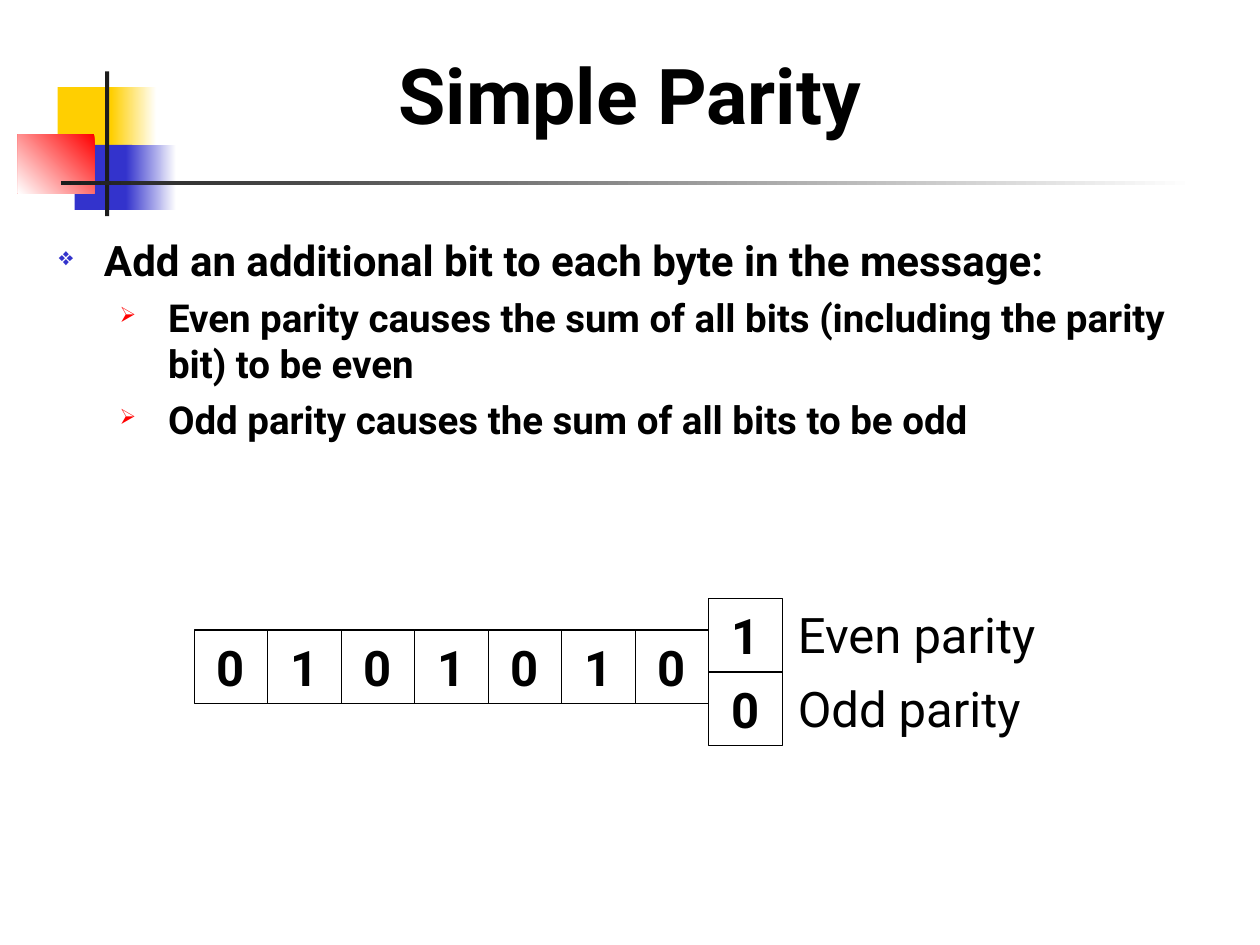
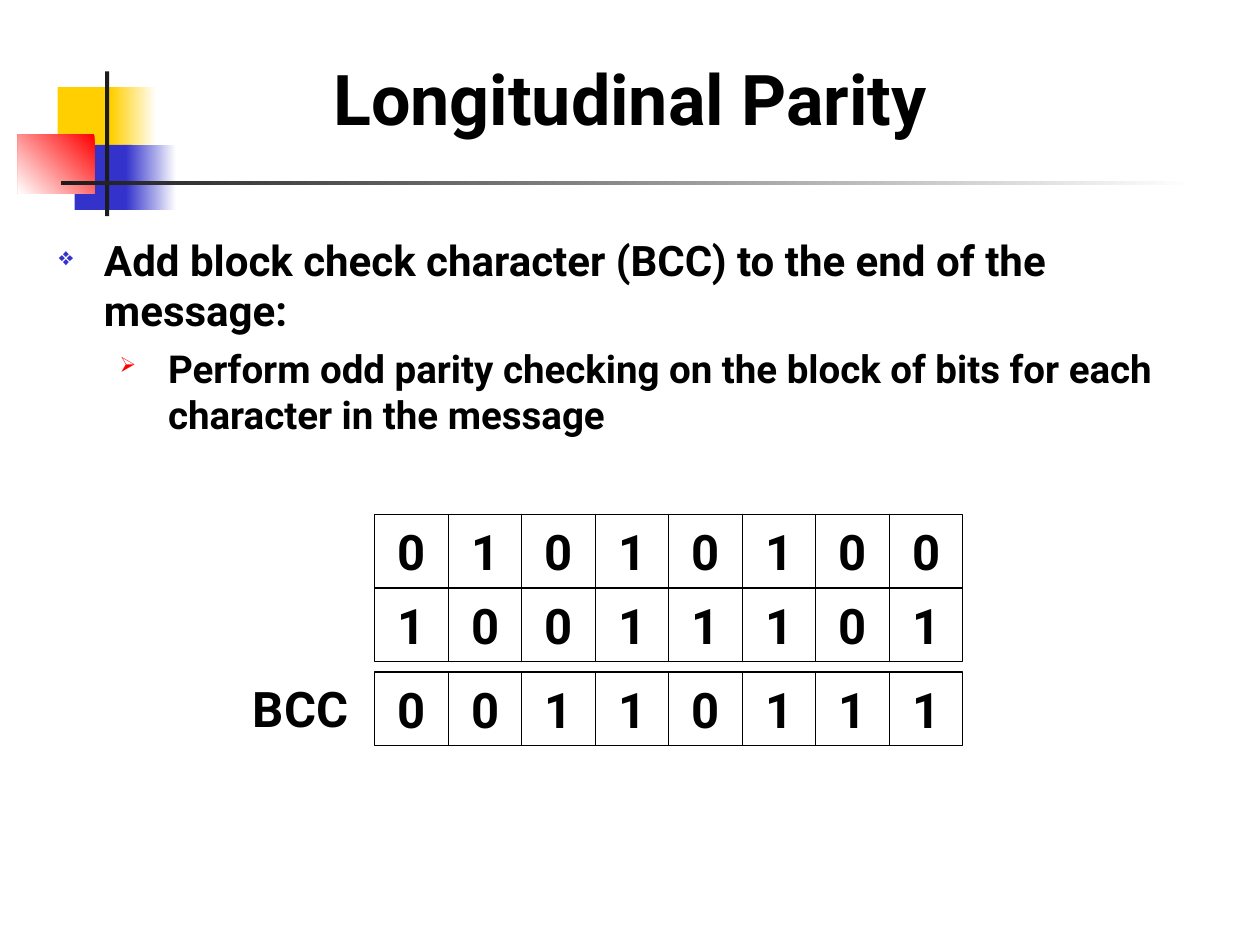
from lxml.etree import SubElement
from pptx import Presentation
from pptx.dml.color import RGBColor
from pptx.enum.shapes import MSO_SHAPE
from pptx.enum.text import MSO_ANCHOR, PP_ALIGN
from pptx.oxml.ns import qn
from pptx.util import Emu, Pt

PX = 7620  # EMU in one px, 120 px to the inch
FONT = "Roboto"
BLACK, WHITE, DARK = "000000", "FFFFFF", "1C1C1C"
YELLOW, BLUE, RED = "FFCF01", "3333CC", "FF0000"
CELL = 70

# Per level: size, left margin, hanging indent, space before, mark, colour, mark size %
LEVELS = [
    (24, 59, 43, 6, "❖", BLUE, 60),
    (22, 120, 46, 5.5, "➢", RED, 55),
]


def px(*values):
    return [Emu(value * PX) for value in values]


def color(code):
    return RGBColor.from_string(code)


def style(para, size, bold=True):
    for run in para.runs:
        font = run.font
        font.name, font.size, font.bold = FONT, Pt(size), bold
        font.color.rgb = color(BLACK)


def add_rect(slide, box):
    rect = slide.shapes.add_shape(MSO_SHAPE.RECTANGLE, *px(*box))
    rect.shadow.inherit = False
    return rect


def add_block(slide, box, start, end=None, angle=0):
    """Draw a borderless rectangle, solid or fading from start to end."""
    block = add_rect(slide, box)
    block.line.fill.background()
    if end is None:
        block.fill.solid()
        block.fill.fore_color.rgb = color(start)
        return
    block.fill.gradient()
    block.fill.gradient_angle = angle
    for stop, code in zip(block.fill.gradient_stops, (start, end)):
        stop.color.rgb = color(code)


def add_frame(slide, box, inset=(0, 0)):
    frame = slide.shapes.add_textbox(*px(*box)).text_frame
    frame.word_wrap = True
    frame.margin_left = frame.margin_right = Emu(inset[0] * PX)
    frame.margin_top = frame.margin_bottom = Emu(inset[1] * PX)
    return frame


def add_motif(slide, left, top):
    """Draw the coloured squares and the crossing rules beside the title."""
    parts = [
        ((38, 15, 58, 62), YELLOW),
        ((89, 15, 43, 62), YELLOW, WHITE),
        ((54, 70, 55, 62), BLUE),
        ((103, 70, 48, 62), BLUE, WHITE),
        ((0, 60, 73, 56), RED, WHITE, 225),
        ((83, 0, 4, 138), DARK),
        ((41, 104, 1080, 4), DARK, WHITE),
    ]
    for (x, y, width, height), *fill in parts:
        add_block(slide, (left + x, top + y, width, height), *fill)


def add_title(slide, box, text, size):
    frame = add_frame(slide, box)
    frame.vertical_anchor = MSO_ANCHOR.BOTTOM
    frame.text = text
    para = frame.paragraphs[0]
    para.alignment = PP_ALIGN.CENTER
    style(para, size)


def add_bullet(para, left, hang, mark, code, percent):
    props = para._p.get_or_add_pPr()
    props.set("marL", str(left * PX))
    props.set("indent", str(-hang * PX))
    tint = SubElement(props, qn("a:buClr"))
    SubElement(tint, qn("a:srgbClr"), val=code)
    SubElement(props, qn("a:buSzPct"), val=str(percent * 1000))
    SubElement(props, qn("a:buChar"), char=mark)


def add_body(slide, box, items):
    frame = add_frame(slide, box)
    frame.text = "\n".join(text for _, text in items)
    for para, (level, _) in zip(frame.paragraphs, items):
        size, left, hang, before, *mark = LEVELS[level]
        para.level = level
        para.space_before = Pt(before)
        add_bullet(para, left, hang, *mark)
        style(para, size)


def add_bits(slide, left, top, bits):
    """Draw a row of square cells, one for each bit."""
    for col, bit in enumerate(bits):
        cell = add_rect(slide, (left + col * CELL, top, CELL, CELL))
        cell.fill.background()
        cell.line.color.rgb = color(BLACK)
        cell.line.width = Pt(0.75)
        frame = cell.text_frame
        frame.word_wrap = False
        frame.vertical_anchor = MSO_ANCHOR.MIDDLE
        frame.text = bit
        para = frame.paragraphs[0]
        para.alignment = PP_ALIGN.CENTER
        style(para, 28)


def add_label(slide, box, text, bold=False):
    frame = add_frame(slide, box, (12, 6))
    frame.text = text
    style(frame.paragraphs[0], 28, bold)


def add_page(deck, title, size, items):
    slide = deck.slides.add_slide(deck.slide_layouts[6])
    add_motif(slide, 17, 68)
    add_title(slide, (51, 44, 1098, 89), title, size)
    add_body(slide, (40, 223, 1120, 198), items)
    return slide


def add_simple(slide, left, top):
    """Draw seven data bits with the two choices of parity bit."""
    data = "0101010"
    add_bits(slide, left, top + 30, data)
    end = left + len(data) * CELL
    for row, (bit, text) in enumerate([("1", "Even parity"), ("0", "Odd parity")]):
        y = top + row * CELL
        add_bits(slide, end, y, bit)
        add_label(slide, (end + CELL + 3, y, 268, 68), text)


def add_block_check(slide, left, top):
    """Draw two data rows and, after a gap, the check row with its label."""
    for row, bits in enumerate(["01010100", "10011101"]):
        add_bits(slide, left, top + row * CELL, bits)
    check = top + 2 * CELL + 10
    add_bits(slide, left, check, "00110111")
    add_label(slide, (left - 128, check, 128, 68), "BCC", bold=True)


def main():
    deck = Presentation()
    deck.slide_width, deck.slide_height = px(1200, 900)

    simple = add_page(deck, "Simple Parity", 44, [
        (0, "Add an additional bit to each byte in the message:"),
        (1, "Even parity causes the sum of all bits (including the parity bit) to be even"),
        (1, "Odd parity causes the sum of all bits to be odd"),
    ])
    add_simple(simple, 185, 570)

    long = add_page(deck, "Longitudinal Parity", 40, [
        (0, "Add block check character (BCC) to the end of the message:"),
        (1, "Perform odd parity checking on the block of bits for each character in the message"),
    ])
    add_block_check(long, 357, 490)

    deck.save("out.pptx")


if __name__ == "__main__":
    main()
